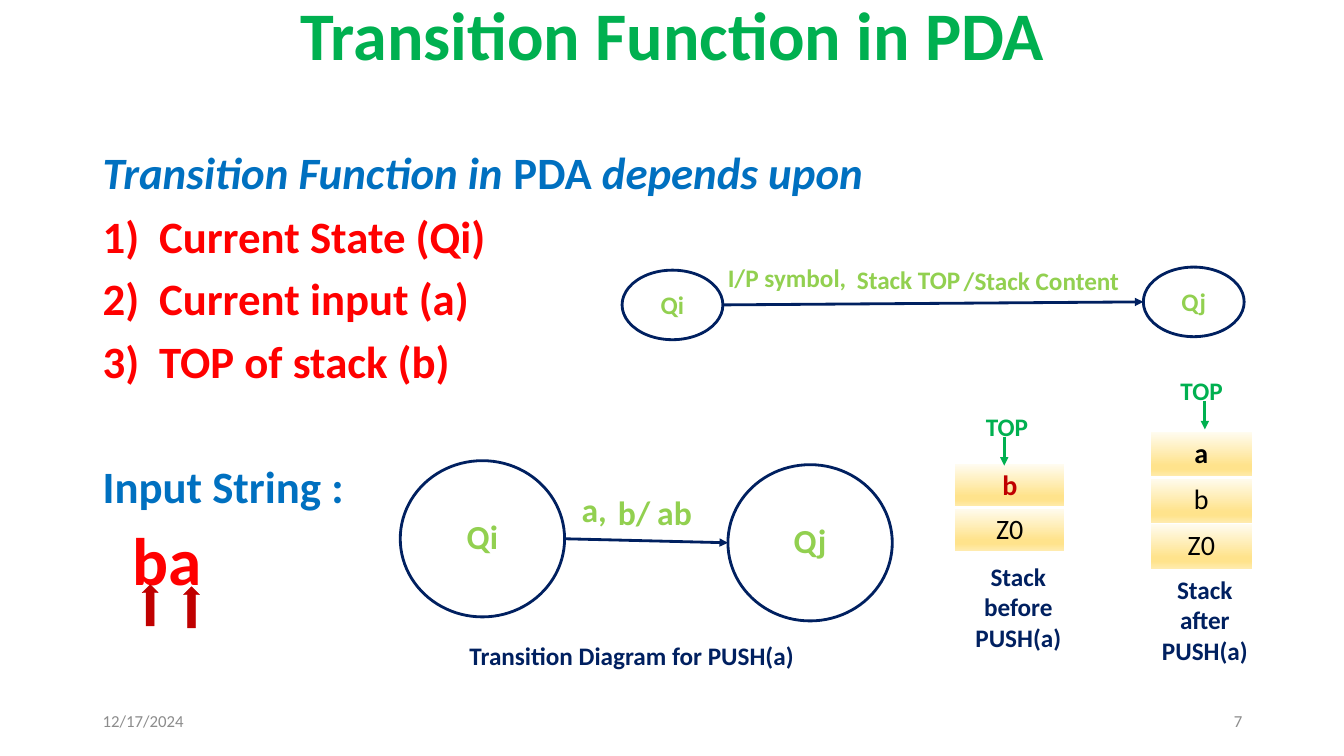
from lxml import etree
from pptx import Presentation
from pptx import util as u
from pptx.dml.color import RGBColor
from pptx.enum import shapes, text
from pptx.oxml import ns, parse_xml

PX = 9144  # 100 px to the inch
GREEN = RGBColor(0x00, 0xB0, 0x50)
LIME = RGBColor(0x92, 0xD0, 0x50)
BLUE = RGBColor(0x00, 0x70, 0xC0)
NAVY = RGBColor(0x00, 0x20, 0x60)
RED = RGBColor(0xFF, 0x00, 0x00)
CRIMSON = RGBColor(0xC0, 0x00, 0x00)
GREY = RGBColor(0x8C, 0x8C, 0x8C)
BLACK = RGBColor(0x00, 0x00, 0x00)
WHITE = RGBColor(0xFF, 0xFF, 0xFF)
CELL_STOPS = [
    (0, RGBColor(0xFF, 0xFC, 0xF2)), (74, RGBColor(0xFF, 0xE3, 0x8C)),
    (83, RGBColor(0xFF, 0xE3, 0x8C)), (100, RGBColor(0xFF, 0xEC, 0xB2)),
]
LEFT, CENTER = text.PP_ALIGN.LEFT, text.PP_ALIGN.CENTER
RIGHT, JUSTIFY = text.PP_ALIGN.RIGHT, text.PP_ALIGN.JUSTIFY
TOP, MIDDLE, BOTTOM = text.MSO_ANCHOR.TOP, text.MSO_ANCHOR.MIDDLE, text.MSO_ANCHOR.BOTTOM


def px(*lengths):
    return [u.Emu(round(length * PX)) for length in lengths]


def write(paragraph, content, size=18, color=LIME, bold=True, italic=False,
          align=LEFT, spacing=None, before=0, indent=0, numbered=False):
    """Content is a string, or a list of (string, italic) pairs."""
    properties = paragraph._p.get_or_add_pPr()
    if indent:
        properties.set("marL", str(indent * PX))
    if numbered:
        properties.set("indent", str(-indent * PX))
        etree.SubElement(properties, ns.qn("a:buFont"), typeface="+mj-lt")
        etree.SubElement(properties, ns.qn("a:buAutoNum"), type="arabicParenR")
    paragraph.alignment = align
    if spacing:
        paragraph.line_spacing = spacing
    if before:
        paragraph.space_before = u.Pt(before)
    pieces = [(content, italic)] if isinstance(content, str) else content
    for piece, slanted in pieces:
        run = paragraph.add_run()
        run.text = piece
        run.font.name = "Calibri"
        run.font.size = u.Pt(size)
        run.font.bold, run.font.italic = bold, slanted
        run.font.color.rgb = color


def add_text(slide, box, content=None, anchor=TOP, **style):
    frame = slide.shapes.add_textbox(*px(*box)).text_frame
    frame.word_wrap = True
    frame.vertical_anchor = anchor
    if content:
        write(frame.paragraphs[0], content, **style)
    return frame


def add_shape(slide, kind, box, fill, line, width):
    shape = slide.shapes.add_shape(kind, *px(*box))
    shape.shadow.inherit = False
    shape.fill.solid()
    shape.fill.fore_color.rgb = fill
    shape.line.color.rgb = line
    shape.line.width = u.Pt(width)
    return shape


def add_arrow(slide, start, end, color):
    arrow = slide.shapes.add_connector(shapes.MSO_CONNECTOR.STRAIGHT, *px(*start, *end))
    arrow.line.color.rgb = color
    arrow.line.width = u.Pt(2)
    etree.SubElement(arrow.line._get_or_add_ln(), ns.qn("a:tailEnd"), type="triangle")
    etree.SubElement(arrow._element.spPr, ns.qn("a:effectLst"))


def style_cell(cell, bottom_width):
    """White borders, then a vertical gradient."""
    properties = cell._tc.get_or_add_tcPr()
    for side, width in (("L", 1), ("R", 1), ("T", 1), ("B", bottom_width)):
        properties.append(parse_xml(
            f'<a:ln{side} {ns.nsdecls("a")} w="{width * 12700}"><a:solidFill>'
            f'<a:srgbClr val="{WHITE}"/></a:solidFill></a:ln{side}>'))
    stops = "".join(f'<a:gs pos="{position * 1000}"><a:srgbClr val="{color}"/></a:gs>'
                    for position, color in CELL_STOPS)
    properties.append(parse_xml(
        f'<a:gradFill {ns.nsdecls("a")} rotWithShape="1"><a:gsLst>{stops}</a:gsLst>'
        '<a:lin ang="5400000" scaled="0"/></a:gradFill>'))


def headings(slide, box):
    x, y, width, height = box
    add_text(slide, (x, y, width, 76), "Transition Function in PDA", MIDDLE,
             size=48.6, color=GREEN, align=CENTER, spacing=0.9)
    add_text(slide, (x, y + height - 76, width + 91, 76),
             [("Transition Function in ", True), ("PDA", False), (" depends upon", True)],
             BOTTOM, size=32, color=BLUE, align=JUSTIFY, spacing=0.9)


def dependencies(slide, box):
    """Numbered list, input string and the two reading marks."""
    x, y = box[:2]
    frame = add_text(slide, box)
    for index, item in enumerate(("Current State (Qi)", "Current input (a)", "TOP of stack (b)")):
        paragraph = frame.add_paragraph() if index else frame.paragraphs[0]
        write(paragraph, item, size=32, color=RED, spacing=0.9,
              before=10 if index else 0, indent=56, numbered=True)
    write(frame.add_paragraph(), "Input String :", size=32, color=BLUE, spacing=0.9, before=55)
    write(frame.add_paragraph(), "ba", size=48, color=RED, spacing=0.9, before=10, indent=30)
    for dx, dy in ((49, 372), (90, 374)):
        add_shape(slide, shapes.MSO_SHAPE.UP_ARROW, (x + dx, y + dy, 16, 41),
                  CRIMSON, CRIMSON, 0.25)


def state_pair(slide, box, state, drops, size, labels):
    """Two states at the ends of the box, a transition and its labels."""
    x, y, width, _ = box
    state_width, state_height = state
    lefts = (x, x + width - state_width)
    for name, left, drop in zip(("Qi", "Qj"), lefts, drops):
        oval = add_shape(slide, shapes.MSO_SHAPE.OVAL,
                         (left, y + drop, state_width, state_height), WHITE, NAVY, 2)
        oval.text_frame.vertical_anchor = MIDDLE
        write(oval.text_frame.paragraphs[0], name, size=size, align=CENTER,
              spacing=0.9 if size > 18 else None)
    middle = y + state_height / 2
    add_arrow(slide, (x + state_width, middle + drops[0]), (lefts[1], middle + drops[1]), NAVY)
    for content, dx, dy, label_width in labels:
        add_text(slide, (x + dx, y + dy, label_width, size * 2), content, size=size)


def stack(slide, box, symbols, top_color, pointer, arrow_dx, caption, caption_box):
    """Stack cells filling the box, with a pointer above and a caption below."""
    x, y, width, height = box
    label_x, label_y = x + pointer[0], y + pointer[1]
    table = slide.shapes.add_table(len(symbols), 1, *px(*box)).table
    table.first_row = table.horz_banding = False
    table.columns[0].width = px(width)[0]
    for index, symbol in enumerate(symbols):
        table.rows[index].height = px(height / len(symbols))[0]
        cell = table.cell(index, 0)
        style_cell(cell, 1 if index else 3)
        write(cell.text_frame.paragraphs[0], symbol, size=20, align=CENTER,
              color=BLACK if index else top_color, bold=index == 0)
    add_arrow(slide, (x + arrow_dx, label_y + 31), (x + arrow_dx, label_y + 59), GREEN)
    add_text(slide, (label_x, label_y, 68, 40), "TOP", color=GREEN)
    dx, dy, caption_width = caption_box
    add_text(slide, (x + dx, y + height + dy, caption_width, 101), caption,
             color=NAVY, align=CENTER)


def footer(slide, box):
    x, y, width, height = box
    style = dict(anchor=MIDDLE, size=12, color=GREY, bold=False)
    add_text(slide, (x, y, 300, height), "12/17/2024", **style)
    add_text(slide, (x + width - 300, y, 300, height), "7", align=RIGHT, **style)


def main():
    presentation = Presentation()
    presentation.slide_width, presentation.slide_height = u.Inches(13.33), u.Inches(7.5)
    slide = presentation.slides.add_slide(presentation.slide_layouts[6])
    headings(slide, (92, 0, 1150, 203))
    dependencies(slide, (92, 208, 564, 420))
    # General transition
    state_pair(slide, (617, 265, 617, 72), (100, 69), (3, 0), 18,
               [("I/P symbol,", 95, -10, 140), ("Stack TOP", 223, -8, 128),
                ("/Stack Content", 329, -7, 179)])
    # Transition for PUSH(a)
    state_pair(slide, (397, 457, 488, 159), (163, 155), (0, 4), 24,
               [("a,", 170, 23, 56), ("b/", 206, 26, 58), ("ab", 245, 26, 70)])
    add_text(slide, (442, 630, 369, 40), "Transition Diagram for PUSH(a)",
             color=NAVY, align=CENTER)
    # Stack contents
    stack(slide, (947, 460, 109, 87), ("b", "Z0"), CRIMSON, (21, -57), 49,
          "Stack before PUSH(a)", (-9, 5, 144))
    stack(slide, (1141, 428, 101, 137), ("a", "b", "Z0"), BLACK, (20, -61), 54,
          "Stack after PUSH(a)", (-6, 0, 120))
    footer(slide, (92, 695, 1150, 40))
    presentation.save("out.pptx")


if __name__ == "__main__":
    main()
